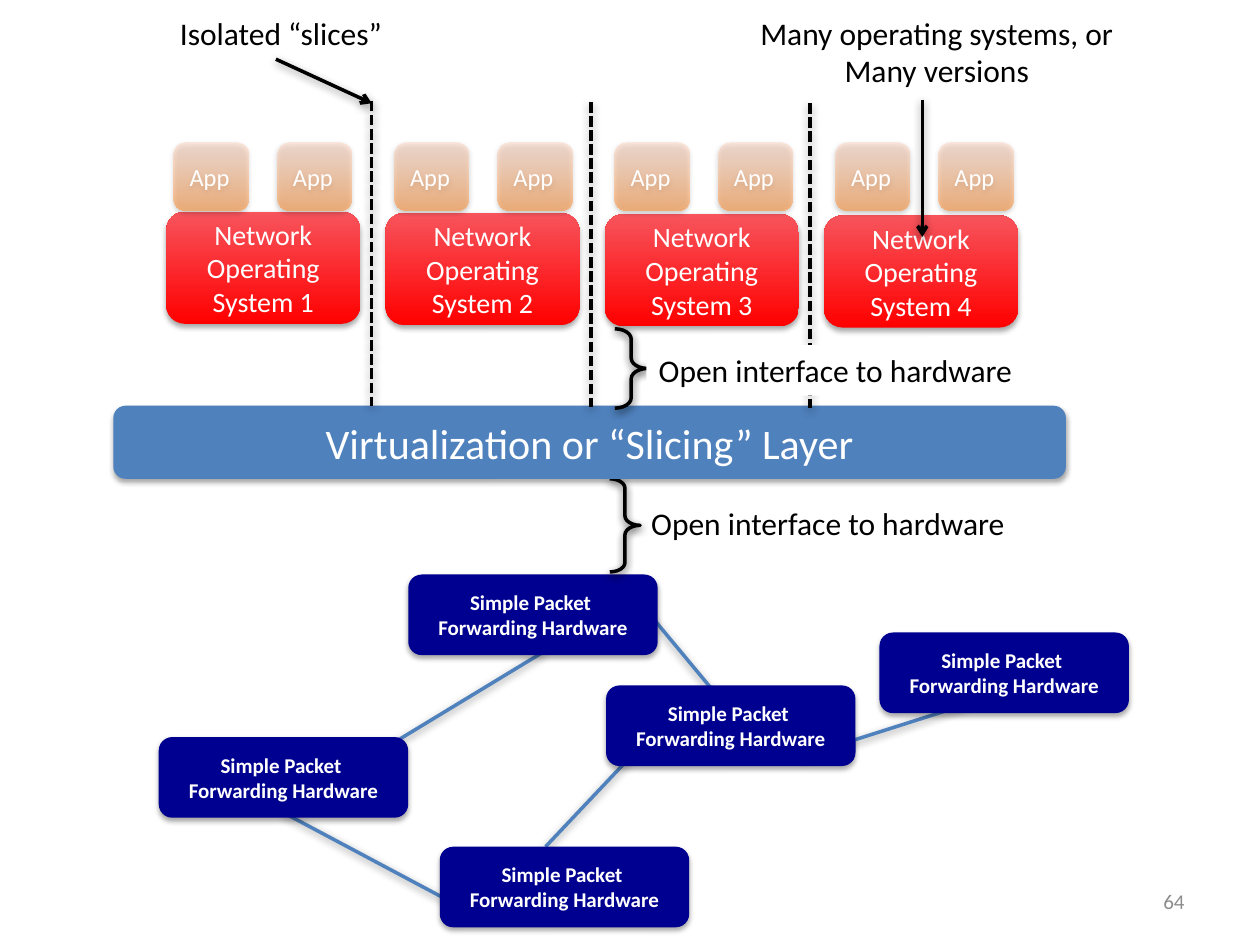
"""Build a slide on slicing a network between several operating systems."""
from pptx import Presentation
from pptx.dml.color import RGBColor
from pptx.enum.dml import MSO_LINE
from pptx.enum.shapes import MSO_CONNECTOR, MSO_SHAPE
from pptx.enum.text import MSO_ANCHOR, PP_ALIGN
from pptx.oxml import parse_xml
from pptx.oxml.ns import nsdecls, qn
from pptx.util import Inches, Pt

ROUNDED, BRACE, RECT = MSO_SHAPE.ROUNDED_RECTANGLE, MSO_SHAPE.RIGHT_BRACE, MSO_SHAPE.RECTANGLE
STRAIGHT, DASH = MSO_CONNECTOR.STRAIGHT, MSO_LINE.SQUARE_DOT
LEFT, CENTER, RIGHT = PP_ALIGN.LEFT, PP_ALIGN.CENTER, PP_ALIGN.RIGHT
TOP, MIDDLE = MSO_ANCHOR.TOP, MSO_ANCHOR.MIDDLE

BLACK = RGBColor(0x00, 0x00, 0x00)
WHITE = RGBColor(0xFF, 0xFF, 0xFF)
GRAY = RGBColor(0x8C, 0x8C, 0x8C)
BLUE = RGBColor(0x4F, 0x81, 0xBD)
NAVY = RGBColor(0x00, 0x00, 0x90)
RED = RGBColor(0xFF, 0x00, 0x00)
LIGHT_RED = RGBColor(0xF7, 0x54, 0x5C)
ORANGE = RGBColor(0xFF, 0x95, 0x3E)
PEACH = RGBColor(0xFF, 0xD2, 0xBD)

BOX_SHADOW = (35, 3.1, 1.8)
LINE_SHADOW = (38, 5, 1.6)
BRACE_SHADOW = (69, 5, 1.6)
INTERFACE = "Open interface to hardware"


class Diagram:
    """Holds the slide and its style, and draws each kind of element."""

    font = "Calibri"
    line_width = Pt(2)

    def __init__(self, slide):
        self.slide = slide

    def shade(self, shape, shadow):
        alpha, blur, distance = shadow
        shape._element.spPr.append(parse_xml(
            f'<a:effectLst {nsdecls("a")}><a:outerShdw blurRad="{Pt(blur)}" '
            f'dist="{Pt(distance)}" dir="5400000" rotWithShape="0">'
            f'<a:srgbClr val="{BLACK}"><a:alpha val="{alpha * 1000}"/></a:srgbClr>'
            '</a:outerShdw></a:effectLst>'))

    def set_text(self, shape, text, size, color, align, anchor, bold=False, wrap=True):
        frame = shape.text_frame
        frame.word_wrap = wrap
        frame.vertical_anchor = anchor
        frame.text = text
        for paragraph in frame.paragraphs:
            paragraph.alignment = align
            font = paragraph.font
            font.name, font.size, font.bold = self.font, Pt(size), bold
            font.color.rgb = color

    def add_shape(self, kind, place):
        return self.slide.shapes.add_shape(kind, *map(Inches, place))

    def box(self, place, text, size, fill, align=CENTER, bold=False, alphas=()):
        shape = self.add_shape(ROUNDED, place)
        if isinstance(fill, RGBColor):
            shape.fill.solid()
            shape.fill.fore_color.rgb = fill
        else:
            shape.fill.gradient()
            shape.fill.gradient_angle = 90
            for stop, color in zip(shape.fill.gradient_stops, fill):
                stop.color.rgb = color
            tints = shape._element.spPr.iter(qn("a:srgbClr"))
            for tint, alpha in zip(tints, alphas):
                tint.append(parse_xml(f'<a:alpha {nsdecls("a")} val="{alpha * 1000}"/>'))
        shape.line.fill.background()
        self.shade(shape, BOX_SHADOW)
        self.set_text(shape, text, size, WHITE, align, MIDDLE, bold)

    def hardware(self, left, top):
        self.box((left, top, 1.98, 0.64), "Simple Packet \vForwarding Hardware", 12, NAVY, bold=True)

    def brace(self, place):
        shape = self.add_shape(BRACE, place)
        shape.adjustments[0] = 0.315
        shape.fill.background()
        shape.line.color.rgb = BLACK
        shape.line.width = self.line_width
        self.shade(shape, BRACE_SHADOW)

    def line(self, start, end, color=BLACK, dash=None, arrow=False):
        line = self.slide.shapes.add_connector(STRAIGHT, *map(Inches, start + end))
        line.line.color.rgb = color
        line.line.width = self.line_width
        if dash:
            line.line.dash_style = dash
        if arrow:
            line._element.spPr.find(qn("a:ln")).append(
                parse_xml(f'<a:tailEnd {nsdecls("a")} type="arrow"/>'))
        self.shade(line, LINE_SHADOW)

    def label(self, place, text, size=18, color=BLACK, align=LEFT, anchor=TOP, wrap=False):
        label = self.slide.shapes.add_textbox(*map(Inches, place))
        self.set_text(label, text, size, color, align, anchor, wrap=wrap)

    def backed_label(self, place, text):
        label = self.add_shape(RECT, place)
        label.fill.solid()
        label.fill.fore_color.rgb = WHITE
        label.line.fill.background()
        label.shadow.inherit = False
        self.set_text(label, text, 18, BLACK, LEFT, TOP)


def main():
    deck = Presentation()
    deck.slide_width, deck.slide_height = Inches(10), Inches(7.5)
    diagram = Diagram(deck.slides.add_slide(deck.slide_layouts[6]))

    links = [
        ((2.82, 6.08), (4.32, 5.17)),
        ((5.01, 4.7), (5.7, 5.53)),
        ((4.33, 6.72), (5.01, 6)),
        ((2.25, 6.45), (3.64, 7.19)),
        ((6.38, 6), (7.67, 5.59)),
    ]
    for start, end in links:
        diagram.line(start, end, BLUE)
    for left, top in [(6.98, 5.02), (4.81, 5.44), (1.26, 5.85), (3.49, 6.72), (3.24, 4.56)]:
        diagram.hardware(left, top)

    diagram.brace((4.84, 3.8, 0.24, 0.74))
    diagram.label((5.07, 3.95, 3.03, 0.4), INTERFACE)
    diagram.box((0.9, 3.22, 7.56, 0.58), "Virtualization or “Slicing” Layer", 24, BLUE)

    for index in range(4):
        diagram.box((1.32 + 1.74 * index, 1.68 + 0.01 * index, 1.54, 0.89),
                    f"Network Operating System {index + 1}", 16, (RED, LIGHT_RED))
    for index in range(4):
        for offset in (0, 0.82):
            diagram.box((1.38 + 1.75 * index + offset, 1.13, 0.59, 0.54), "App", 14,
                        (ORANGE, PEACH), LEFT, alphas=(60, 45))

    diagram.label((5.92, 0.06, 3.03, 0.7), "Many operating systems, or\nMany versions", align=CENTER)
    diagram.line((7.32, 0.79), (7.32, 1.88), arrow=True)

    for index in range(3):
        left, top = 2.95 + 1.74 * index, 0.8 + 0.01 * index
        diagram.line((left, top), (left, top + 2.42), dash=DASH)

    diagram.brace((4.88, 2.61, 0.26, 0.63))
    diagram.backed_label((5.13, 2.74, 3.3, 0.4), INTERFACE)
    diagram.label((1.32, 0.06, 1.82, 0.4), "Isolated “slices”", align=CENTER)
    diagram.line((2.19, 0.47), (2.95, 0.82), arrow=True)
    diagram.label((7.17, 6.95, 2.33, 0.4), "64", 12, GRAY, RIGHT, MIDDLE, wrap=True)

    deck.save("out.pptx")


if __name__ == "__main__":
    main()
